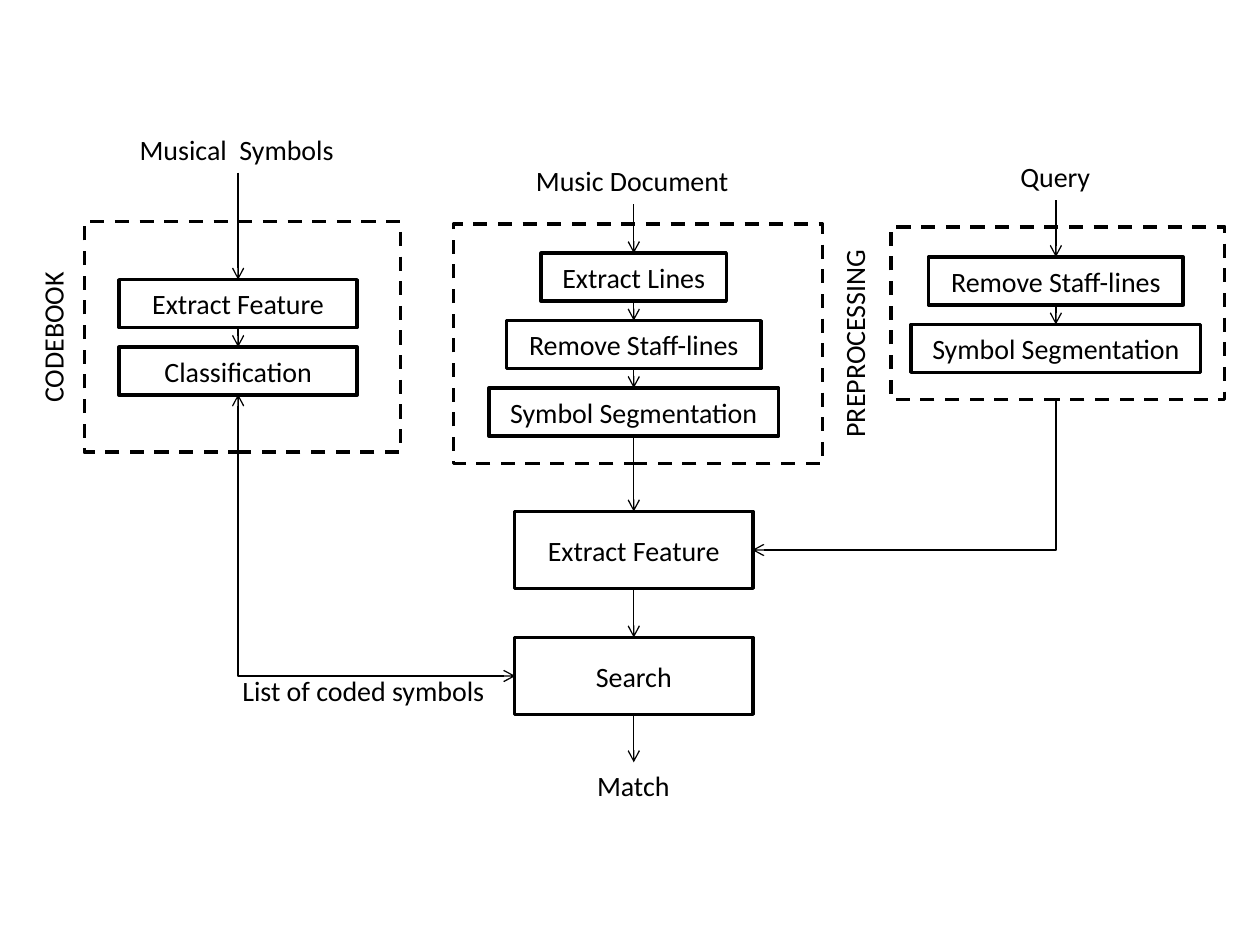
from lxml import etree
from pptx import Presentation
from pptx.dml.color import RGBColor
from pptx.enum.dml import MSO_LINE
from pptx.enum.shapes import MSO_CONNECTOR, MSO_SHAPE
from pptx.enum.text import MSO_ANCHOR, MSO_AUTO_SIZE, PP_ALIGN
from pptx.oxml.ns import qn
from pptx.util import Inches, Pt

RECT = MSO_SHAPE.RECTANGLE
STRAIGHT = MSO_CONNECTOR.STRAIGHT
DASH = MSO_LINE.DASH
MIDDLE = MSO_ANCHOR.MIDDLE
CENTER = PP_ALIGN.CENTER
FIT = MSO_AUTO_SIZE.SHAPE_TO_FIT_TEXT

COLORS = {"ink": "000000", "paper": "FFFFFF"}
FONT, SIZE = "Calibri", 16

# Centre lines of the three columns, and the rhythm of the rows
BOOK, DOC, QUERY = 1.89, 5.03, 8.38
STEP, LOW, TALL = 0.535, 0.38, 0.61
LABEL = 0.37
FEATURE, SEARCH = 4.06, 5.06


def color(name):
    return RGBColor.from_string(COLORS[name])


def write(para, text):
    run = para.add_run()
    run.text = text
    run.font.name = FONT
    run.font.size = Pt(SIZE)
    run.font.color.rgb = color("ink")


def rect(slide, left, top, width, height):
    shape = slide.shapes.add_shape(
        RECT, Inches(left), Inches(top), Inches(width), Inches(height))
    shape.shadow.inherit = False
    shape.line.color.rgb = color("ink")
    shape.line.width = Pt(2)
    return shape


def box(slide, mid, top, width, height, text):
    shape = rect(slide, mid - width / 2, top, width, height)
    shape.fill.solid()
    shape.fill.fore_color.rgb = color("paper")
    frame = shape.text_frame
    frame.word_wrap = True
    frame.vertical_anchor = MIDDLE
    para = frame.paragraphs[0]
    para.alignment = CENTER
    write(para, text)


def group(slide, left, top, width, height):
    shape = rect(slide, left, top, width, height)
    shape.fill.background()
    shape.line.dash_style = DASH


def label(slide, mid, top, width, text, turn=0):
    shape = slide.shapes.add_textbox(
        Inches(mid - width / 2), Inches(top), Inches(width), Inches(LABEL))
    shape.rotation = turn
    frame = shape.text_frame
    frame.word_wrap = False
    frame.auto_size = FIT
    write(frame.paragraphs[0], text)


def link(slide, start, end, ends=("tailEnd",)):
    line = slide.shapes.add_connector(
        STRAIGHT, *(Inches(value) for value in (*start, *end)))
    line.line.color.rgb = color("ink")
    line.line.width = Pt(0.75)
    props = line._element.spPr
    for end_tag in ends:
        tip = etree.SubElement(props.find(qn("a:ln")), qn("a:" + end_tag))
        tip.set("type", "arrow")
    etree.SubElement(props, qn("a:effectLst"))
    return line


def down(slide, mid, top, bottom):
    link(slide, (mid, top), (mid, bottom))


def bend(slide, start, end, ends=("tailEnd",)):
    """Run down from start, then sideways to end."""
    (x1, y1), (x2, y2) = start, end
    line = link(slide, start, end, ends)
    drop, reach = y2 - y1, abs(x2 - x1)
    # The preset runs across first, so its box is turned a quarter
    line.left = Inches((x1 + x2 - drop) / 2)
    line.top = Inches((y1 + y2 - reach) / 2)
    line.width, line.height = Inches(drop), Inches(reach)
    props = line._element.spPr
    props.find(qn("a:prstGeom")).set("prst", "bentConnector2")
    frame = props.find(qn("a:xfrm"))
    right = x2 > x1
    frame.set("rot", str((270 if right else 90) * 60000))
    frame.set("flipH", "1" if right else "0")


def chain(slide, mid, top, steps):
    """Stack boxes and join each one to the next."""
    for row, (text, width) in enumerate(steps):
        y = top + row * STEP
        box(slide, mid, y, width, LOW, text)
        if row:
            down(slide, mid, y - STEP + LOW, y)


def main():
    prs = Presentation()
    prs.slide_width, prs.slide_height = Inches(10), Inches(7.5)
    slide = prs.slides.add_slide(prs.slide_layouts[6])

    remove = ("Remove Staff-lines", 2.02)
    segment = ("Symbol Segmentation", 2.3)

    # Dashed groups
    group(slide, 0.67, 1.76, 2.51, 1.83)
    group(slide, 3.6, 1.78, 2.93, 1.9)
    group(slide, 7.07, 1.8, 2.65, 1.37)

    # Columns: centre, label top, label width, source, first box top, steps
    columns = [
        (BOOK, 1, 1.76, "Musical  Symbols", 2.22,
         [("Extract Feature", 1.89), ("Classification", 1.89)]),
        (DOC, 1.25, 1.75, "Music Document", 2.01,
         [("Extract Lines", 1.47), remove, segment]),
        (QUERY, 1.22, 0.76, "Query", 2.04, [remove, segment]),
    ]
    for mid, head, width, text, top, steps in columns:
        label(slide, mid, head, width, text)
        down(slide, mid, head + LABEL, top)
        chain(slide, mid, top, steps)

    # Matching stages
    for top, text in ((FEATURE, "Extract Feature"), (SEARCH, "Search")):
        box(slide, DOC, top, 1.89, TALL, text)
    down(slide, DOC, 3.46, FEATURE)
    down(slide, DOC, FEATURE + TALL, SEARCH)
    down(slide, DOC, SEARCH + TALL, 6.05)
    label(slide, DOC, 6.05, 0.78, "Match")

    # Bent links from the side columns
    bend(slide, (BOOK, 3.13), (4.09, SEARCH + TALL / 2),
         ("headEnd", "tailEnd"))
    bend(slide, (QUERY, 3.17), (5.97, FEATURE + TALL / 2))
    label(slide, 2.9, 5.3, 2.15, "List of coded symbols")

    # Upright group names
    label(slide, 0.42, 2.48, 1.26, "CODEBOOK", 270)
    label(slide, 6.78, 2.53, 1.71, "PREPROCESSING", 270)

    prs.save("out.pptx")


if __name__ == "__main__":
    main()
